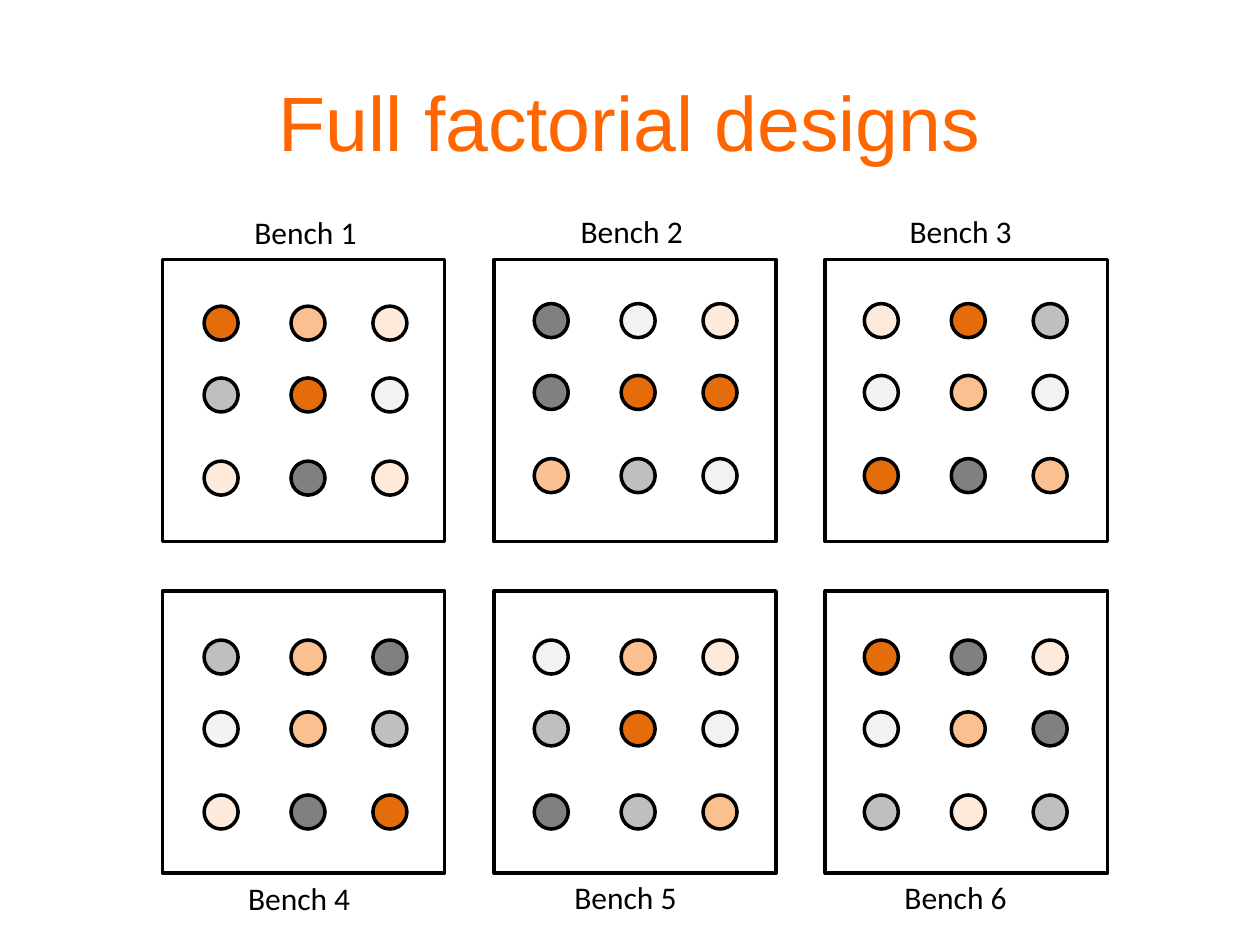
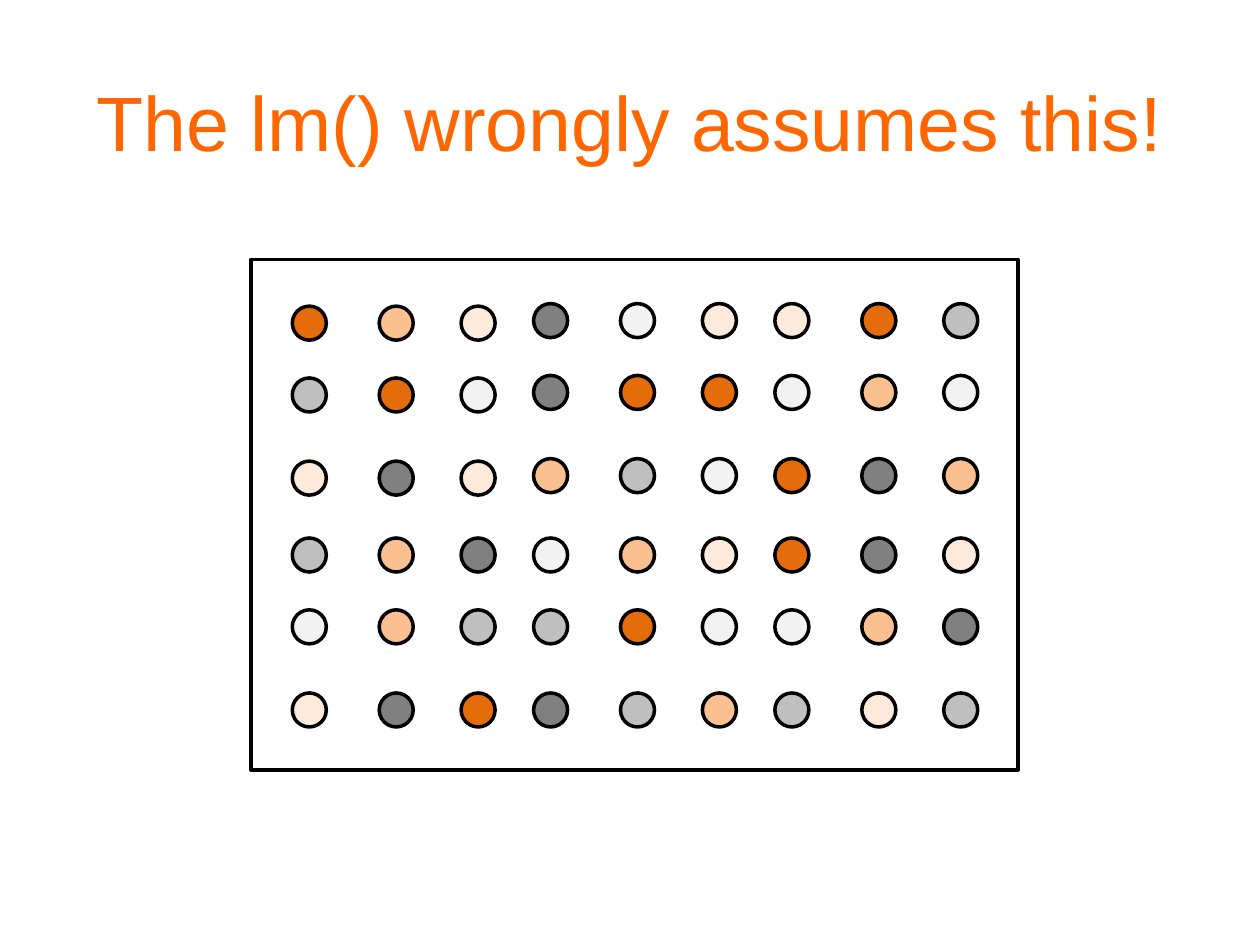
from pptx import Presentation
from pptx.dml.color import RGBColor
from pptx.enum.shapes import MSO_SHAPE
from pptx.enum.text import MSO_ANCHOR, MSO_AUTO_SIZE, PP_ALIGN
from pptx.util import Inches, Pt

RECTANGLE = MSO_SHAPE.RECTANGLE
OVAL = MSO_SHAPE.OVAL
MIDDLE = MSO_ANCHOR.MIDDLE
CENTER = PP_ALIGN.CENTER
FIT_SHAPE = MSO_AUTO_SIZE.SHAPE_TO_FIT_TEXT

COLORS = {
    "title": "FF6600",
    "ink": "000000",
    "O": "E46C0A",
    "P": "FAC090",
    "C": "FDEADA",
    "D": "808080",
    "M": "BFBFBF",
    "W": "F2F2F2",
}

BENCHES = [
    ("Bench 1", (1.92, 1.64), ["OPC", "MOW", "CDC"]),
    ("Bench 2", (4.51, 1.63), ["DWC", "DOO", "PMW"]),
    ("Bench 3", (7.12, 1.63), ["COM", "WPW", "ODP"]),
    ("Bench 4", (1.87, 6.93), ["MPD", "WPM", "CDO"]),
    ("Bench 5", (4.46, 6.92), ["WPC", "MOW", "DMP"]),
    ("Bench 6", (7.08, 6.92), ["ODC", "WPD", "MCM"]),
]
BENCHES_PER_ROW = 3

POT_SIZE = 0.27
POT_COLUMNS = (0, 0.69, 1.34)
POT_ROWS = (0, 0.57, 1.23)
UPPER_POT_TOPS = (2.43, 2.41, 2.41)

BENCH_LEFT, BENCH_TOP = 1.29, 2.06
BENCH_SIZE, BENCH_STEP = 2.24, 2.63

SEPARATE = {"left": 1.62, "step": 2.62, "lower_top": 5.08}
COMBINED = {"left": 2.32, "step": 1.915, "lower_top": 4.27}


def rgb(name):
    return RGBColor.from_string(COLORS[name])


def format_text(paragraph, font_name, size, color):
    for run in paragraph.runs:
        run.font.name = font_name
        run.font.size = Pt(size)
        run.font.color.rgb = rgb(color)


def add_titled_slide(presentation, title_text):
    slide = presentation.slides.add_slide(presentation.slide_layouts[5])
    title = slide.shapes.title
    title.left, title.top = Inches(0), Inches(0.33)
    title.width, title.height = Inches(10), Inches(1.25)
    title.text_frame.text = title_text
    title.text_frame.vertical_anchor = MIDDLE
    paragraph = title.text_frame.paragraphs[0]
    paragraph.alignment = CENTER
    format_text(paragraph, "Arial", 44, "title")
    return slide


def add_outlined(slide, kind, left, top, width, height, fill=None):
    shape = slide.shapes.add_shape(
        kind, Inches(left), Inches(top), Inches(width), Inches(height))
    shape.shadow.inherit = False
    shape.line.color.rgb = rgb("ink")
    shape.line.width = Pt(2)
    if fill:
        shape.fill.solid()
        shape.fill.fore_color.rgb = rgb(fill)
    else:
        shape.fill.background()


def add_label(slide, text, left, top):
    label = slide.shapes.add_textbox(
        Inches(left), Inches(top), Inches(1.02), Inches(0.4))
    text_frame = label.text_frame
    text_frame.text = text
    text_frame.word_wrap = False
    text_frame.auto_size = FIT_SHAPE
    format_text(text_frame.paragraphs[0], "Calibri", 18, "ink")


def add_pots(slide, layout):
    for index, (_, _, treatments) in enumerate(BENCHES):
        row, column = divmod(index, BENCHES_PER_ROW)
        left = layout["left"] + column * layout["step"]
        top = layout["lower_top"] if row else UPPER_POT_TOPS[column]
        for row_offset, pot_row in zip(POT_ROWS, treatments):
            for column_offset, treatment in zip(POT_COLUMNS, pot_row):
                add_outlined(slide, OVAL, left + column_offset, top + row_offset,
                             POT_SIZE, POT_SIZE, treatment)


def build_factorial_slide(presentation):
    slide = add_titled_slide(presentation, "Full factorial designs")
    for index in range(len(BENCHES)):
        row, column = divmod(index, BENCHES_PER_ROW)
        add_outlined(slide, RECTANGLE, BENCH_LEFT + column * BENCH_STEP,
                     BENCH_TOP + row * BENCH_STEP, BENCH_SIZE, BENCH_SIZE)
    add_pots(slide, SEPARATE)
    for name, position, _ in BENCHES:
        add_label(slide, name, *position)


def build_assumption_slide(presentation):
    slide = add_titled_slide(presentation, "The lm() wrongly assumes this!")
    add_outlined(slide, RECTANGLE, 1.99, BENCH_TOP, 6.09, 4.05)
    add_pots(slide, COMBINED)


def main():
    presentation = Presentation()
    presentation.slide_width = Inches(10)
    presentation.slide_height = Inches(7.5)
    build_factorial_slide(presentation)
    build_assumption_slide(presentation)
    presentation.save("out.pptx")


if __name__ == "__main__":
    main()
